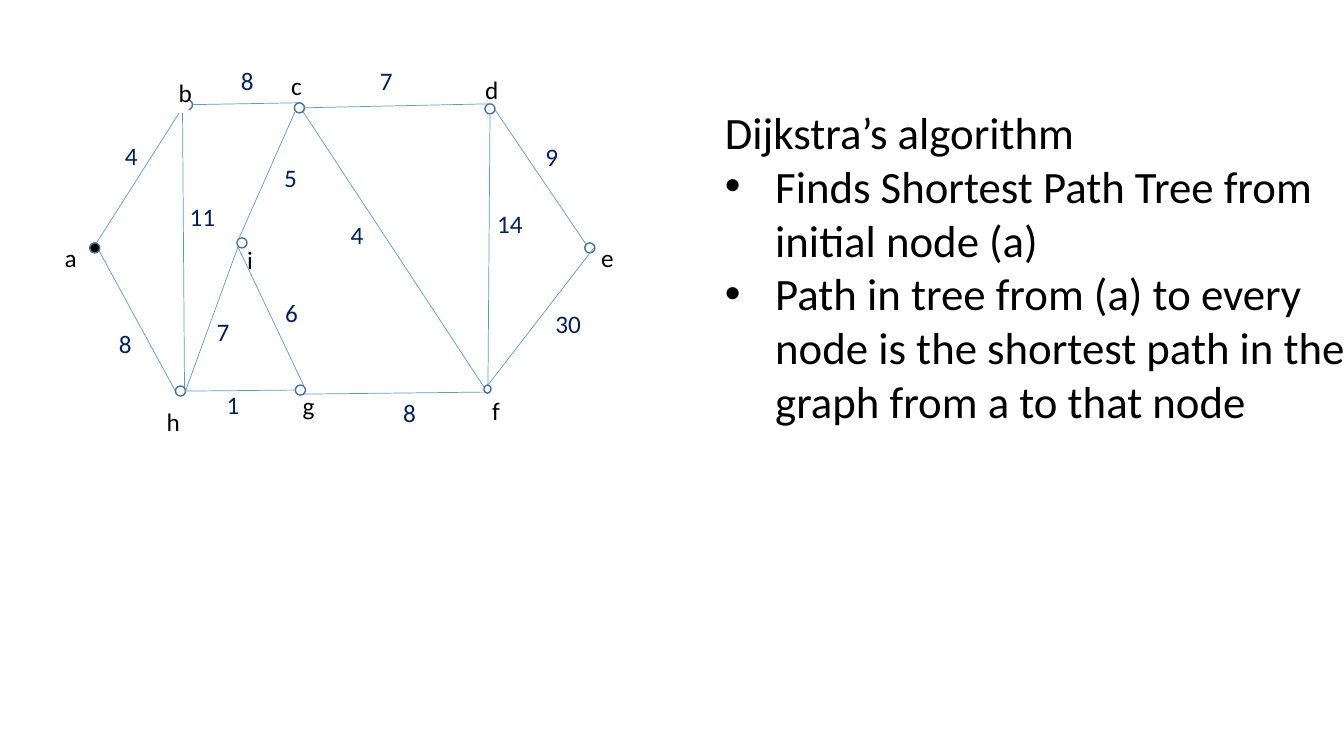
from dataclasses import dataclass
from pptx import Presentation
from pptx.dml.color import RGBColor as RGB
from pptx.enum.shapes import MSO_CONNECTOR as Line, MSO_SHAPE as Form
from pptx.enum.text import MSO_ANCHOR as Anchor, MSO_AUTO_SIZE as Auto, PP_ALIGN as Align
from pptx.oxml.ns import qn
from pptx.util import Pt
from lxml.etree import SubElement as Sub

SCALE = 9144  # EMU per px, 100 px to the inch


@dataclass(frozen=True)
class Theme:
    font: str = "Calibri"
    ink: RGB = RGB(0, 0, 0)
    paper: RGB = RGB(255, 255, 255)
    navy: RGB = RGB(0x00, 0x20, 0x60)
    edge: RGB = RGB(0x5B, 0x9B, 0xD5)
    ring: RGB = RGB(0x43, 0x73, 0x9E)
    small: int = 18
    large: int = 32
    thin: float = 0.5
    rim: float = 1


LOOK = Theme()

# Node: ring left, top, width, height; label left, top, width
NODES = {
    "a": ((33, 181, 10, 10), (0, 175, 18)),
    "b": ((125, 39, 10, 10), (113, 12, 18)),
    "c": ((236, 42, 10, 10), (223, 5, 23)),
    "h": ((118, 323, 10, 10), (101, 338, 18)),
    "i": ((179, 176, 10, 10), (181, 177, 18)),
    "g": ((237, 322, 10, 10), (236, 322, 18)),
    "e": ((524, 181, 10, 10), (532, 176, 18)),
    "f": ((424, 322, 7, 8), (424, 327, 18)),
    "d": ((425, 43, 10, 10), (417, 9, 18)),
}

# Edge: its two ends, weight, left and top of the weight
UNDER = [
    ((125, 44, 127, 324), "11", (132, 140)),   # b-h
    ((125, 44, 240, 42), "8", (173, 0)),       # b-c
    ((130, 39, 34, 190), "4", (58, 74)),       # b-a
    ((428, 322, 430, 54), "14", (437, 147)),   # f-d
    ((245, 331, 425, 329), "8", (334, 329)),   # g-f
    ((244, 50, 428, 330), "4", (282, 153)),    # c-f
    ((118, 328, 38, 181), "8", (52, 261)),     # h-a
]
OVER = [
    ((179, 181, 237, 50), "5", (216, 96)),     # i-c
    ((237, 327, 128, 328), "1", (159, 321)),   # g-h
    ((533, 186, 428, 322), "30", (495, 246)),  # e-f
    ((430, 43, 245, 47), "7", (311, 0)),       # d-c
    ((128, 328, 180, 185), "7", (149, 249)),   # h-i
    ((180, 185, 245, 322), "6", (217, 230)),   # i-g
    ((525, 182, 435, 49), "9", (475, 75)),     # e-d
]

TITLE = "Dijkstra’s algorithm"
POINTS = [
    "Finds Shortest Path Tree from initial node (a)",
    "Path in tree from (a) to every node is the shortest path in the graph from a to that node",
]


def px(*nums):
    return [n * SCALE for n in nums]


def put(item, **vals):
    for key, val in vals.items():
        setattr(item, key, val)


def write(shape, text, size, tone, **frame):
    vals = dict(word_wrap=True, auto_size=Auto.SHAPE_TO_FIT_TEXT, vertical_anchor=Anchor.TOP)
    put(shape.text_frame, **(vals | frame))
    para = shape.text_frame.paragraphs[0]
    para.text = text
    style(para, size, tone)


def style(para, size, tone):
    para.alignment = Align.LEFT
    for run in para.runs:
        put(run.font, name=LOOK.font, size=Pt(size))
        run.font.color.rgb = tone


def solid(slide, form, box, fill):
    shape = slide.shapes.add_shape(form, *px(*box))
    shape.shadow.inherit = False
    shape.fill.solid()
    shape.fill.fore_color.rgb = fill
    return shape


def label(slide, x, y, name):
    left, top, wide = NODES[name][1]
    shape = solid(slide, Form.RECTANGLE, (x + left, y + top, wide, 40), LOOK.paper)
    shape.line.fill.background()
    write(shape, name, LOOK.small, LOOK.ink)


def ring(slide, x, y, name):
    left, top, wide, high = NODES[name][0]
    fill = LOOK.ink if name == "a" else LOOK.paper
    shape = solid(slide, Form.OVAL, (x + left, y + top, wide, high), fill)
    shape.line.color.rgb = LOOK.ring
    shape.line.width = Pt(LOOK.rim)


def edge(slide, x, y, ends):
    x1, y1, x2, y2 = ends
    line = slide.shapes.add_connector(Line.STRAIGHT, *px(x + x1, y + y1, x + x2, y + y2))
    line.line.color.rgb = LOOK.edge
    line.line.width = Pt(LOOK.thin)
    Sub(line._element.spPr, qn("a:effectLst"))


def weight(slide, x, y, text, spot):
    wide = len(text) > 1
    size = (44, 36) if wide else (25, 40)
    shape = slide.shapes.add_textbox(*px(x + spot[0], y + spot[1], *size))
    frame = dict(margin_left=0, margin_top=0, margin_right=0, auto_size=Auto.NONE) if wide else {}
    write(shape, text, LOOK.small, LOOK.navy, **frame)


def graph(slide, x, y):
    # Labels lie lowest, except b, which covers its ring
    for name in NODES:
        if name != "b":
            label(slide, x, y, name)
    # Edges beneath and above the rings
    for ends, _, _ in UNDER:
        edge(slide, x, y, ends)
    for name in NODES:
        ring(slide, x, y, name)
    for ends, _, _ in OVER:
        edge(slide, x, y, ends)
    label(slide, x, y, "b")
    # Weights
    for _, text, spot in UNDER + OVER:
        weight(slide, x, y, text, spot)


def notes(slide, *box):
    shape = slide.shapes.add_textbox(*px(*box))
    write(shape, TITLE, LOOK.large, LOOK.ink)
    # Bullet points
    for text in POINTS:
        para = shape.text_frame.add_paragraph()
        prop = para._p.get_or_add_pPr()
        prop.set("marL", str(50 * SCALE))
        prop.set("indent", str(-50 * SCALE))
        Sub(prop, qn("a:buFont"), typeface="Arial")
        Sub(prop, qn("a:buChar"), char="•")
        para.text = text
        style(para, LOOK.large, LOOK.ink)


def main():
    deck = Presentation()
    deck.slide_width, deck.slide_height = px(1333, 750)
    slide = deck.slides.add_slide(deck.slide_layouts[6])
    graph(slide, 56, 60)
    notes(slide, 709, 99, 645, 333)
    deck.save("out.pptx")


if __name__ == "__main__":
    main()
